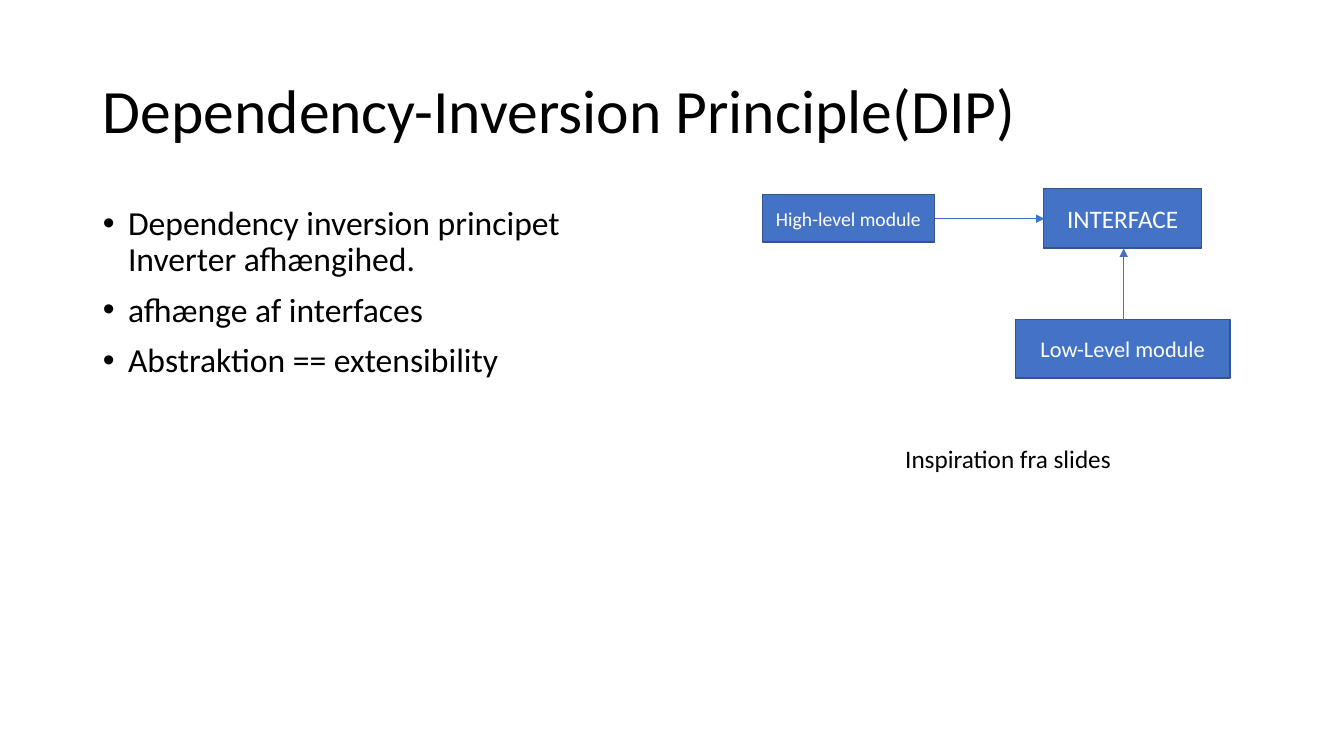
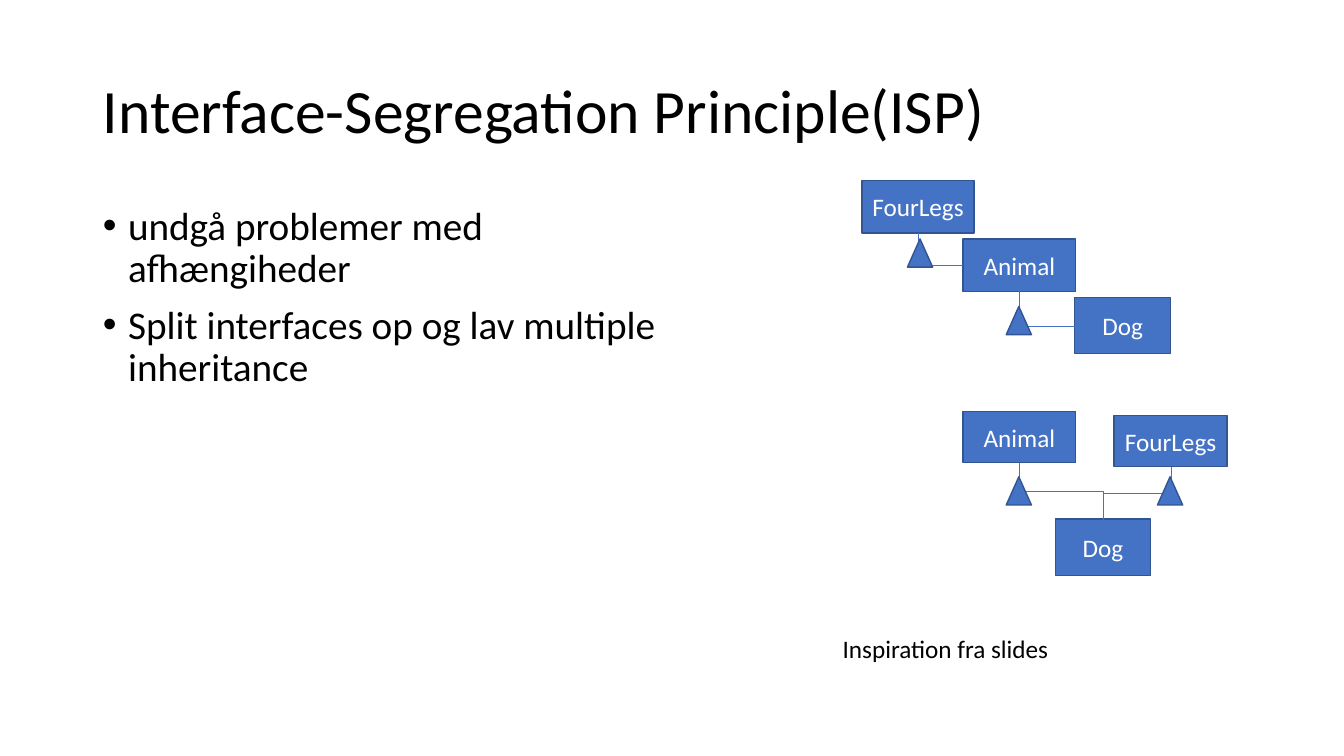
from dataclasses import dataclass
from lxml.etree import SubElement
from pptx import Presentation
from pptx.dml.color import RGBColor
from pptx.enum.shapes import MSO_CONNECTOR, MSO_SHAPE
from pptx.enum.text import MSO_ANCHOR, MSO_AUTO_SIZE, PP_ALIGN
from pptx.oxml.ns import qn
from pptx.util import Inches, Pt


# Shared look
@dataclass(frozen=True)
class Theme:
    font: str = "Calibri"
    ink: RGBColor = RGBColor(0, 0, 0)
    pale: RGBColor = RGBColor(255, 255, 255)
    fill: RGBColor = RGBColor.from_string("4472C4")
    edge: RGBColor = RGBColor.from_string("325491")
    title: int = 44
    text: int = 18


look = Theme()


def write(frame, text, size=look.text, color=look.ink, align=PP_ALIGN.LEFT,
          anchor=MSO_ANCHOR.TOP, lead=None, gap=0, bullet=False):
    """Fill a text frame, one paragraph per line of text."""
    frame.text = text
    frame.vertical_anchor = anchor
    frame.auto_size = MSO_AUTO_SIZE.NONE
    for para in frame.paragraphs:
        para.alignment, para.line_spacing = align, lead
        para.space_before = Pt(gap)
        para.font.name, para.font.size = look.font, Pt(size)
        para.font.color.rgb = color
        if bullet:
            props = para._p.get_or_add_pPr()
            props.set("marL", str(Inches(0.25)))
            props.set("indent", str(-Inches(0.25)))


def link(shapes, start, end, turn=0, bends=2, arrow=False):
    """Draw an elbow from start to end, then turn it by whole degrees."""
    wire = shapes.add_connector(MSO_CONNECTOR.ELBOW,
                                *[Inches(n) for n in start + end])
    wire.line.color.rgb, wire.line.width = look.fill, Pt(0.5)
    props = wire._element.spPr
    props.find(qn("a:xfrm")).set("rot", str(turn * 60000))
    props.find(qn("a:prstGeom")).set("prst", f"bentConnector{bends + 1}")
    SubElement(props, qn("a:effectLst"))
    if arrow:
        SubElement(wire.line._get_or_add_ln(), qn("a:tailEnd"), type="triangle")


# Content: boxes are (text, left, top, width, height, size),
# links are (start, end, turn, bends) before turning
pages = [
    dict(
        title="Dependency-Inversion Principle(DIP)",
        items=["Dependency inversion principet Inverter afhængihed.",
               "afhænge af interfaces", "Abstraktion == extensibility"],
        size=24, width=5.56,
        boxes=[("High-level module", 7.56, 1.93, 1.71, 0.47, 14),
               ("Low-Level module", 10.07, 3.17, 2.13, 0.58, 16),
               ("INTERFACE", 10.35, 1.87, 1.57, 0.59, 18)],
        links=[((10.79, 2.82), (11.5, 2.82), 270, 2),
               ((9.27, 2.17), (10.36, 2.17), 0, 2)],
        arrow=True, heads=[], note=(8.88, 4.35)),
    dict(
        title="Interface-Segregation Principle(ISP)",
        items=["undgå problemer med afhængiheder",
               "Split interfaces op og lav multiple inheritance"],
        size=28, width=6.06,
        boxes=[("FourLegs", 8.55, 1.79, 1.11, 0.52, 18),
               ("Animal", 9.55, 2.37, 1.12, 0.52, 18),
               ("Dog", 10.66, 2.95, 0.95, 0.56, 18),
               ("FourLegs", 11.05, 4.12, 1.12, 0.51, 18),
               ("Animal", 9.55, 4.08, 1.12, 0.51, 18),
               ("Dog", 10.47, 5.15, 0.94, 0.56, 18)],
        links=[((10.11, 2.89), (10.67, 3.24), 180, 1),
               ((9.11, 2.31), (9.55, 2.63), 180, 1),
               ((10.25, 5.29), (10.81, 4.46), 270, 2),
               ((11.54, 5.23), (11.02, 4.56), 90, 2)],
        arrow=False,
        heads=[(9.98, 3.04), (9, 2.37), (9.98, 4.73), (11.48, 4.73)],
        note=(8.26, 6.23)),
]

deck = Presentation()
deck.slide_width, deck.slide_height = Inches(13.33), Inches(7.5)

for page in pages:
    slide = deck.slides.add_slide(deck.slide_layouts[1])
    shapes = slide.shapes

    # Title and list
    title, body = slide.placeholders
    title.left, title.top = Inches(0.92), Inches(0.4)
    title.width, title.height = Inches(11.5), Inches(1.45)
    write(title.text_frame, page["title"], size=look.title,
          anchor=MSO_ANCHOR.MIDDLE, lead=0.9)
    body.left, body.top = Inches(0.92), Inches(2)
    body.width, body.height = Inches(page["width"]), Inches(4.76)
    write(body.text_frame, "\n".join(page["items"]), size=page["size"],
          lead=0.9, gap=10, bullet=True)

    # Boxes
    solids = []
    for text, left, top, width, height, size in page["boxes"]:
        box = shapes.add_shape(MSO_SHAPE.RECTANGLE, Inches(left), Inches(top),
                               Inches(width), Inches(height))
        frame = box.text_frame
        frame.margin_left = frame.margin_right = Inches(0.05)
        write(frame, text, size=size, color=look.pale,
              align=PP_ALIGN.CENTER, anchor=MSO_ANCHOR.MIDDLE)
        solids.append(box)

    # Links, then the inheritance heads over them
    for start, end, turn, bends in page["links"]:
        link(shapes, start, end, turn=turn, bends=bends, arrow=page["arrow"])
    for left, top in page["heads"]:
        solids.append(shapes.add_shape(
            MSO_SHAPE.ISOSCELES_TRIANGLE, Inches(left), Inches(top),
            Inches(0.25), Inches(0.28)))

    for solid in solids:
        solid.shadow.inherit = False
        solid.fill.solid()
        solid.fill.fore_color.rgb = look.fill
        solid.line.color.rgb, solid.line.width = look.edge, Pt(1)

    # Source note
    left, top = page["note"]
    note = shapes.add_textbox(Inches(left), Inches(top), Inches(2.26), Inches(0.4))
    write(note.text_frame, "Inspiration fra slides")
    note.text_frame.word_wrap = False

deck.save("out.pptx")
